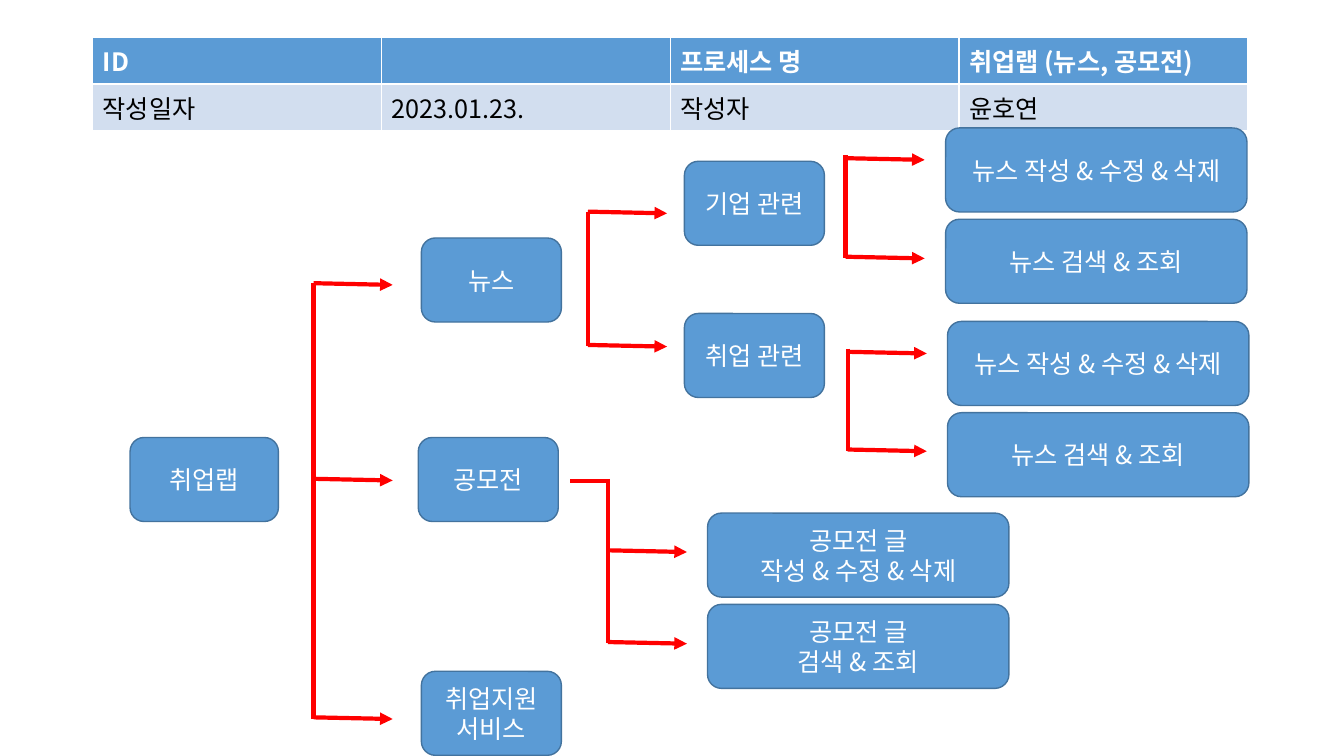
"""Build the job lab process slide: a header table above a tree of boxes."""
from dataclasses import dataclass

from lxml import etree
from pptx import Presentation
from pptx import util as u
from pptx.dml.color import RGBColor
from pptx.enum import shapes, text
from pptx.oxml.ns import qn


@dataclass(frozen=True)
class Theme:
    font: str = "Noto Sans CJK KR"
    size: int = 18
    blue: str = "5B9BD5"
    pale: str = "D2DEEF"
    edge: str = "43739E"
    red: str = "FF0000"
    white: str = "FFFFFF"
    black: str = "000000"
    thin: int = 1
    thick: int = 3


THEME = Theme()
HIGH = 60
SLIM = 100
WIDE = 215.3
STEP = 65.2
REACH = 56.5
DROP = 1.2

CELLS = [
    ["ID", "", "프로세스 명", "취업랩 (뉴스, 공모전)"],
    ["작성일자", "2023.01.23.", "작성자", "윤호연"],
]
BOXES = [
    (92.9, 312.5, 106, ["취업랩"]),
    (298.8, 312.5, SLIM, ["공모전"]),
    (301, 170, SLIM, ["뉴스"]),
    (301, 479.5, SLIM, ["취업지원 서비스"]),
    (488.9, 115.2, SLIM, ["기업 관련"]),
    (488.9, 223.9, SLIM, ["취업 관련"]),
]
NEWS = [["뉴스 작성 & 수정 & 삭제"], ["뉴스 검색 & 조회"]]
POSTS = [["공모전 글", "작성 & 수정 & 삭제"], ["공모전 글", "검색 & 조회"]]
PAIRS = [(675.4, 91.4, NEWS), (676.8, 229.6, NEWS), (505.4, 366.5, POSTS)]
FORKS = [
    (224, 202.3, 513.4, [202.3, 342, 512.4]),
    (420, 151.2, 247, [151.2, 246.4]),
    (604, 110.9, 184.4, [113, 183.4]),
    (605.5, 249.1, 322, [251.3, 321.1]),
    (434.2, 342, 459.4, [393.1, 458.6]),
]


def tint(code):
    return RGBColor.from_string(code)


def write(para, words, color, bold=False):
    run = para.add_run()
    run.text = words
    font = run.font
    font.name = THEME.font
    font.size = u.Pt(THEME.size)
    font.bold = bold
    font.color.rgb = tint(color)
    east = etree.SubElement(font._element, qn("a:ea"))
    east.set("typeface", THEME.font)


def rim(cell):
    props = cell._tc.get_or_add_tcPr()
    for side in ("lnL", "lnR", "lnT", "lnB"):
        line = etree.SubElement(props, qn(f"a:{side}"), w=str(u.Pt(THEME.thin)))
        fill = etree.SubElement(line, qn("a:solidFill"))
        etree.SubElement(fill, qn("a:srgbClr"), val=THEME.white)


def grid(slide, left, top, width, height):
    frame = slide.shapes.add_table(
        len(CELLS), len(CELLS[0]), u.Pt(left), u.Pt(top), u.Pt(width), u.Pt(height))
    looks = [(THEME.blue, THEME.white, True), (THEME.pale, THEME.black, False)]
    for row, words, (back, ink, bold) in zip(frame.table.rows, CELLS, looks):
        for cell, word in zip(row.cells, words):
            rim(cell)
            cell.fill.solid()
            cell.fill.fore_color.rgb = tint(back)
            if word:
                write(cell.text_frame.paragraphs[0], word, ink, bold)


def box(slide, left, top, width, lines):
    shape = slide.shapes.add_shape(
        shapes.MSO_SHAPE.ROUNDED_RECTANGLE,
        u.Pt(left), u.Pt(top), u.Pt(width), u.Pt(HIGH))
    shape.shadow.inherit = False
    shape.fill.solid()
    shape.fill.fore_color.rgb = tint(THEME.blue)
    shape.line.color.rgb = tint(THEME.edge)
    shape.line.width = u.Pt(THEME.thin)
    frame = shape.text_frame
    frame.word_wrap = True
    frame.vertical_anchor = text.MSO_ANCHOR.MIDDLE
    for i, words in enumerate(lines):
        para = frame.add_paragraph() if i else frame.paragraphs[0]
        para.alignment = text.PP_ALIGN.CENTER
        write(para, words, THEME.white)


def link(slide, start, end, head=False):
    line = slide.shapes.add_connector(
        shapes.MSO_CONNECTOR.STRAIGHT, *(u.Pt(n) for n in start + end))
    line.line.color.rgb = tint(THEME.red)
    line.line.width = u.Pt(THEME.thick)
    if head:
        etree.SubElement(line.line._get_or_add_ln(), qn("a:tailEnd"), type="triangle")
    etree.SubElement(line._element.spPr, qn("a:effectLst"))


def fork(slide, left, top, base, tines):
    link(slide, (left, top), (left, base))
    for y in tines:
        link(slide, (left, y), (left + REACH, y + DROP), head=True)


def main():
    deck = Presentation()
    deck.slide_width, deck.slide_height = u.Pt(960), u.Pt(540)
    slide = deck.slides.add_slide(deck.slide_layouts[6])
    grid(slide, 66.2, 26.8, 825.2, 60.2)
    for spot in BOXES:
        box(slide, *spot)
    for left, top, labels in PAIRS:
        for i, lines in enumerate(labels):
            box(slide, left, top + i * STEP, WIDE, lines)
    for spot in FORKS:
        fork(slide, *spot)
    link(slide, (407.5, 343.4), (434.2, 343.4))
    deck.save("out.pptx")


main()
